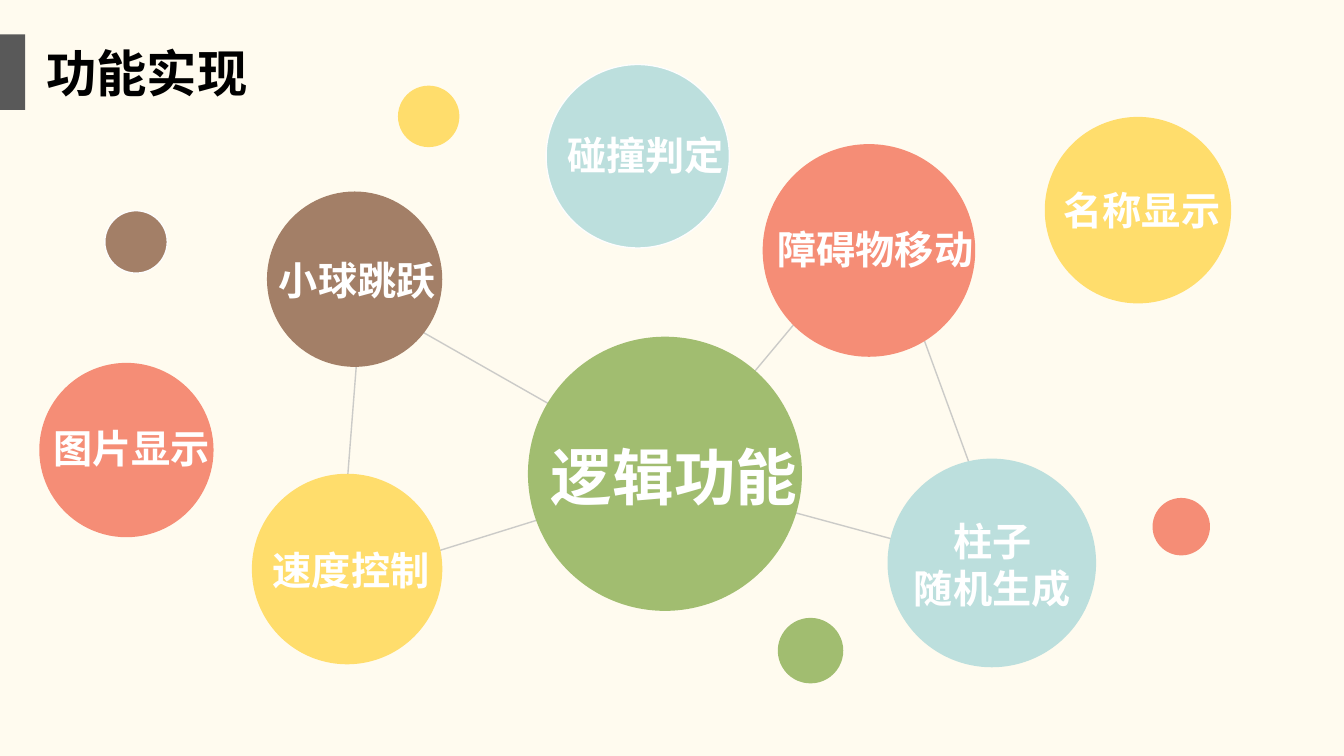
from lxml.etree import SubElement
from pptx import Presentation
from pptx.dml.color import RGBColor
from pptx.enum.shapes import MSO_SHAPE
from pptx.enum.text import MSO_AUTO_SIZE, PP_ALIGN
from pptx.oxml.ns import qn
from pptx.util import Inches, Pt

HUES = {
    "cream": "FFFBEF", "gray": "595959", "line": "BFBFBF", "edge": "FDFDFD",
    "black": "000000", "white": "FFFFFF", "gold": "FFDD6C", "brown": "A37F67",
    "green": "A1BD70", "coral": "F58D76", "aqua": "BCDFDD",
}
FONT = "Noto Sans CJK SC"
COLS, ROWS = 133.4, 75  # grid cells of a tenth of an inch

# left, top, diameter, hue, edge
DOTS = [
    (77.2, 61.3, 6.5, "green", None),
    (10.4, 20.9, 6.2, "brown", "edge"),
    (114.4, 49.4, 5.7, "coral", None),
    (39.5, 8.5, 6.1, "gold", None),
]
# left, top, diameter, hue, edge, label, label left, label top, text size
BUBBLES = [
    (25, 47, 18.9, "gold", None, "速度控制", 26.1, 53.7, 28),
    (26.5, 19, 17.4, "brown", None, "小球跳跃", 26.7, 24.9, 28),
    (52.4, 33.4, 27.2, "green", None, "逻辑功能", 53.7, 43.1, 44),
    (75.7, 14.3, 21.1, "coral", None, "障碍物移动", 76.2, 21.9, 28),
    (88.1, 45.5, 20.7, "aqua", None, "柱子\n随机生成", 89.7, 50.8, 28),
    (103.7, 11.6, 18.5, "gold", None, "名称显示", 104.6, 18, 28),
    (54.2, 6.4, 18.2, "aqua", "edge", "碰撞判定", 55.3, 12.5, 28),
    (3.9, 36, 17.3, "coral", None, "图片显示", 4.3, 41.6, 28),
]
WEB = [(35.9, 29.5), (66.5, 46.9), (87.4, 21.9), (100.1, 56.6),
       (66.5, 47.5), (33.7, 57.7)]


def rgb(hue):
    return RGBColor.from_string(HUES[hue])


def cell(count):
    """Turn grid cells into a length."""
    return Inches(count / 10)


class Board:
    def __init__(self):
        self.deck = Presentation()
        self.deck.slide_width, self.deck.slide_height = cell(COLS), cell(ROWS)
        self.slide = self.deck.slides.add_slide(self.deck.slide_layouts[6])
        self.shapes = self.slide.shapes
        back = self.slide.background.fill
        back.solid()
        back.fore_color.rgb = rgb("cream")

    def shape(self, kind, left, top, wide, high, hue, edge=None):
        item = self.shapes.add_shape(kind, *map(cell, (left, top, wide, high)))
        item.shadow.inherit = False
        item.fill.solid()
        item.fill.fore_color.rgb = rgb(hue)
        if edge:
            item.line.color.rgb = rgb(edge)
            item.line.width = Pt(1)
        else:
            item.line.fill.background()

    def dot(self, left, top, size, hue, edge=None):
        self.shape(MSO_SHAPE.OVAL, left, top, size, size, hue, edge)

    def web(self, points):
        """Draw the closed thin outline that ties the bubbles together."""
        first, *rest = [(cell(x), cell(y)) for x, y in points]
        pen = self.shapes.build_freeform(*first)
        pen.add_line_segments(rest, close=True)
        item = pen.convert_to_shape()
        item.shadow.inherit = False
        item.fill.background()
        item.line.color.rgb = rgb("line")
        item.line.width = Pt(1)
        tint = item.line._get_or_add_ln().find(".//" + qn("a:srgbClr"))
        SubElement(tint, qn("a:alpha"), val="80000")

    def text(self, words, left, top, size=28, hue="white", align=PP_ALIGN.LEFT):
        """Write bold lines in a box sized from their length."""
        lines = words.split("\n")
        wide = Pt(size * max(map(len, lines))) + cell(2)
        high = Pt(size * 1.2 * len(lines)) + cell(1)
        frame = self.shapes.add_textbox(cell(left), cell(top), wide, high).text_frame
        frame.word_wrap = False
        frame.auto_size = MSO_AUTO_SIZE.SHAPE_TO_FIT_TEXT
        frame.text = words
        for para in frame.paragraphs:
            para.alignment = align
            for run in para.runs:
                font = run.font
                font.name, font.size, font.bold = FONT, Pt(size), True
                font.color.rgb = rgb(hue)
                SubElement(run._r.get_or_add_rPr(), qn("a:ea"), typeface=FONT)


def main():
    board = Board()
    board.web(WEB)
    board.shape(MSO_SHAPE.RECTANGLE, 0, 3.4, 2.5, 7.5, "gray")
    board.text("功能实现", 3.6, 3.7, size=36, hue="black")
    for dot in DOTS:
        board.dot(*dot)
    for *dot, words, left, top, size in BUBBLES:
        board.dot(*dot)
        align = PP_ALIGN.CENTER if "\n" in words else PP_ALIGN.LEFT
        board.text(words, left, top, size=size, align=align)
    board.deck.save("out.pptx")


if __name__ == "__main__":
    main()
